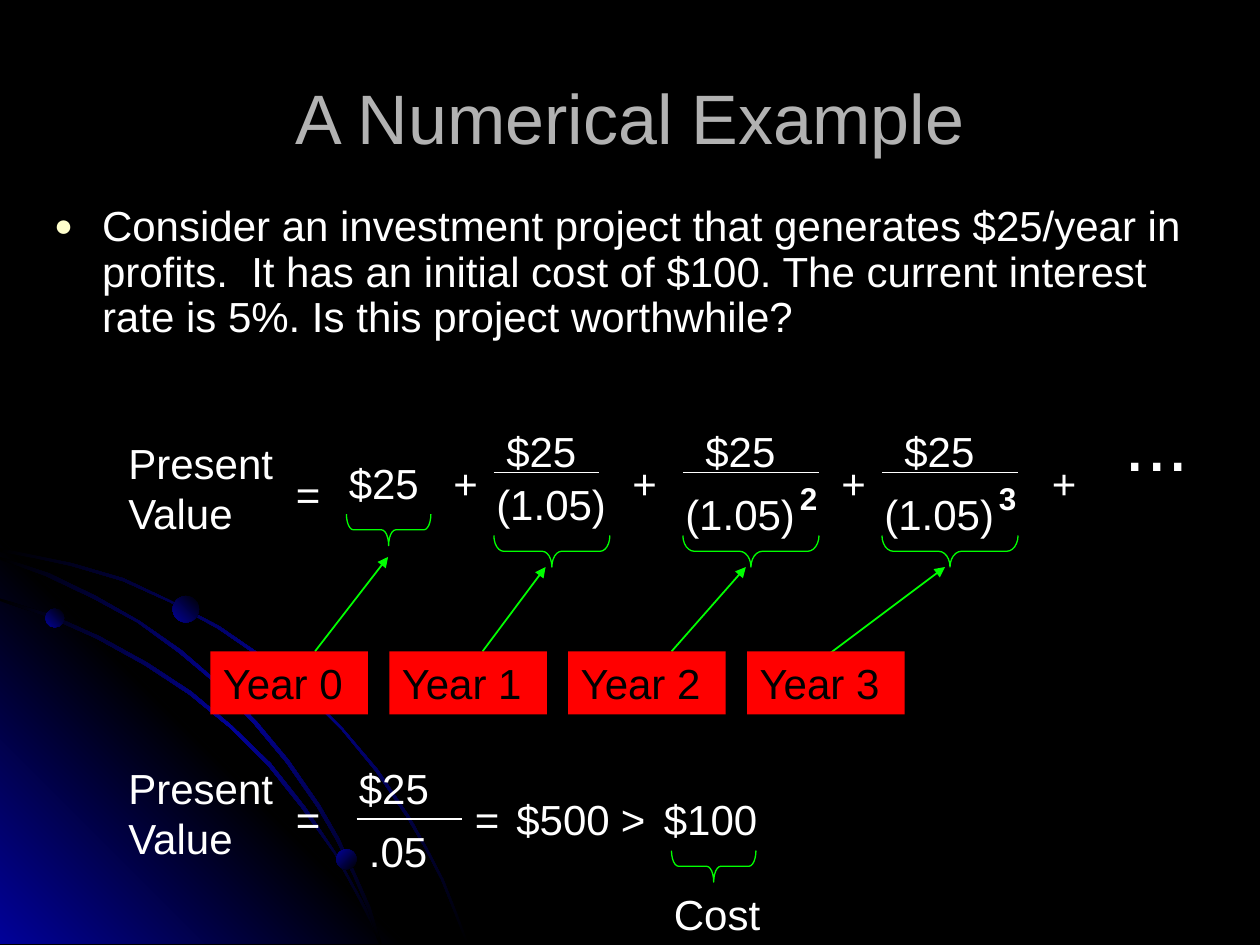
"""Build a slide that values a project by the present value of its profits."""
from lxml import etree
from pptx import Presentation
from pptx.dml.color import RGBColor
from pptx.enum.shapes import MSO_CONNECTOR, MSO_SHAPE
from pptx.enum.text import MSO_ANCHOR, MSO_AUTO_SIZE, PP_ALIGN
from pptx.oxml.ns import qn
from pptx.util import Inches, Pt

RECTANGLE, OVAL, BRACE = MSO_SHAPE.RECTANGLE, MSO_SHAPE.OVAL, MSO_SHAPE.LEFT_BRACE
STRAIGHT = MSO_CONNECTOR.STRAIGHT
TOP, MIDDLE = MSO_ANCHOR.TOP, MSO_ANCHOR.MIDDLE
LEFT, CENTER = PP_ALIGN.LEFT, PP_ALIGN.CENTER
NO_FIT = MSO_AUTO_SIZE.NONE

ARCS = [
    [(0.57, 4.47), (0.28, 4.41), (0, 4.35), (0, 4.38), (0.28, 4.43), (0.56, 4.49),
     (0.97, 4.61), (1.35, 4.78), (1.73, 4.99), (2.08, 5.23), (2.41, 5.49), (2.71, 5.79),
     (2.98, 6.12), (3.23, 6.49), (3.37, 6.73), (3.5, 6.98), (3.6, 7.23), (3.7, 7.49),
     (3.72, 7.49), (3.62, 7.23), (3.52, 6.98), (3.39, 6.73), (3.25, 6.48), (3, 6.11),
     (2.72, 5.78), (2.42, 5.48), (2.09, 5.21), (1.74, 4.97), (1.36, 4.77), (0.98, 4.59)],
    [(2.85, 7.14), (2.94, 7.32), (3.01, 7.49), (3.03, 7.49), (2.96, 7.3), (2.86, 7.12),
     (2.66, 6.76), (2.42, 6.4), (2.15, 6.06), (1.84, 5.76), (1.52, 5.49), (1.17, 5.26),
     (0.79, 5.05), (0.41, 4.88), (0, 4.75), (0, 4.77), (0.39, 4.9), (0.77, 5.07),
     (1.15, 5.28), (1.5, 5.51), (1.83, 5.78), (2.13, 6.08), (2.4, 6.42), (2.65, 6.77)],
    [(0, 4.42), (0, 4.44), (0.36, 4.57), (0.74, 4.75), (1.09, 4.94), (1.42, 5.18),
     (1.73, 5.44), (2.02, 5.75), (2.27, 6.05), (2.52, 6.41), (2.67, 6.67), (2.8, 6.94),
     (2.92, 7.22), (3.01, 7.49), (3.03, 7.49), (2.94, 7.2), (2.82, 6.93), (2.69, 6.65),
     (2.54, 6.39), (2.29, 6.03), (2.04, 5.73), (1.75, 5.43), (1.44, 5.16), (1.11, 4.93),
     (0.76, 4.73), (0.39, 4.55)],
]
CORNER = [(3.22, 7.49), (0, 7.49), (0, 4.27)]
DOTS = [(0.36, 4.83, 0.15, 135), (2.67, 6.74, 0.16, 225), (1.37, 4.73, 0.21, 135)]
YEAR_ARROWS = [((2.5, 5.17), (3.08, 4.42)), ((3.83, 5.17), (4.33, 4.5)),
               ((5.33, 5.17), (5.92, 4.5)), ((6.5, 5.25), (7.5, 4.5))]


def color(value):
    """Turn a hex string into a colour."""
    return RGBColor.from_string(value)


class SlideStyle:
    """Hold the style and the current slide."""

    font = "Arial"
    black, white, grey = "000000", "FFFFFF", "B2B2B2"
    blue, green, red, cream = "010199", "00FF00", "FF0000", "FFFFCC"

    def __init__(self, page):
        """Start on a page with a black background."""
        self.page = page
        self.shapes = page.shapes
        page.background.fill.solid()
        page.background.fill.fore_color.rgb = color(self.black)

    def place(self, box, left, top, width, height):
        """Move and size a box."""
        box.left, box.top = Inches(left), Inches(top)
        box.width, box.height = Inches(width), Inches(height)

    def fill_text(self, box, lines, size=24, ink=white, bold=False, align=LEFT, anchor=TOP):
        """Fill a box with one paragraph for each line."""
        frame = box.text_frame
        frame.word_wrap = True
        frame.auto_size = NO_FIT
        frame.vertical_anchor = anchor
        for index, line in enumerate(lines):
            para = frame.paragraphs[0] if index == 0 else frame.add_paragraph()
            para.alignment = align
            span = para.add_run()
            span.text = line
            span.font.name = self.font
            span.font.size = Pt(size)
            span.font.bold = bold
            span.font.color.rgb = color(ink)

    def title(self, text):
        """Set the title."""
        box = self.shapes.title
        self.place(box, 0.5, 0.62, 9, 0.61)
        self.fill_text(box, [text], 40, self.grey, align=CENTER, anchor=MIDDLE)

    def body(self, text):
        """Set the bulleted question."""
        box = self.page.placeholders[1]
        self.place(box, 0.33, 1.58, 9.17, 1.25)
        self.fill_text(box, [text])
        para = box.text_frame.paragraphs[0]
        para.line_spacing = 0.9
        para.space_before = Pt(6)
        properties = para._p.get_or_add_pPr()
        properties.set("marL", str(Inches(0.38)))
        properties.set("indent", str(Inches(-0.38)))
        tint = etree.SubElement(properties, qn("a:buClr"))
        etree.SubElement(tint, qn("a:srgbClr"), val=self.cream)
        etree.SubElement(properties, qn("a:buSzPct"), val="75000")
        etree.SubElement(properties, qn("a:buFont"), typeface=self.font)
        etree.SubElement(properties, qn("a:buChar"), char="●")

    def text(self, left, top, width, *lines, height=0.5, **style):
        """Add a text box."""
        box = self.shapes.add_textbox(
            Inches(left), Inches(top), Inches(width), Inches(height))
        self.fill_text(box, lines, **style)

    def line(self, start, end, ink=white, weight=0.75, arrow=False):
        """Add a straight line or an arrow."""
        points = [Inches(value) for value in (*start, *end)]
        link = self.shapes.add_connector(STRAIGHT, *points)
        link.line.color.rgb = color(ink)
        link.line.width = Pt(weight)
        if arrow:
            etree.SubElement(link.line._get_or_add_ln(), qn("a:tailEnd"), type="triangle")
        etree.SubElement(link._element.spPr, qn("a:effectLst"))

    def brace(self, left, top, span, depth=0.25):
        """Add a brace that points down under a span."""
        box = self.shapes.add_shape(BRACE, 0, 0, 0, 0)
        self.place(box, left + (span - depth) / 2, top + (depth - span) / 2, depth, span)
        box.rotation = 270
        box.adjustments[0] = span / depth / 12
        box.shadow.inherit = False
        box.fill.background()
        box.line.color.rgb = color(self.green)
        box.line.width = Pt(0.75)

    def label(self, left, top, text):
        """Add a red label."""
        box = self.shapes.add_shape(RECTANGLE, 0, 0, 0, 0)
        self.place(box, left, top, 1.25, 0.5)
        box.shadow.inherit = False
        box.fill.solid()
        box.fill.fore_color.rgb = color(self.red)
        box.line.fill.background()
        self.fill_text(box, [text], ink=self.black)

    def shade(self, box, angle, *inks):
        """Fill a box with evenly spaced gradient stops and no line."""
        box.shadow.inherit = False
        box.line.fill.background()
        box.fill.gradient()
        box.fill.gradient_angle = 360 - angle
        stops = box._element.spPr.find(".//" + qn("a:gsLst"))
        for stop in list(stops):
            stops.remove(stop)
        for index, ink in enumerate(inks):
            position = 100000 * index // (len(inks) - 1)
            stop = etree.SubElement(stops, qn("a:gs"), pos=str(position))
            etree.SubElement(stop, qn("a:srgbClr"), val=ink)

    def outline(self, points, angle, *inks):
        """Add a closed shaded outline."""
        corners = [(Inches(x), Inches(y)) for x, y in points]
        builder = self.shapes.build_freeform(*corners[0])
        builder.add_line_segments(corners[1:], close=True)
        self.shade(builder.convert_to_shape(), angle, *inks)

    def dot(self, left, top, size, angle):
        """Add a shaded dot."""
        box = self.shapes.add_shape(OVAL, 0, 0, 0, 0)
        self.place(box, left, top, size, size)
        self.shade(box, angle, self.black, self.blue)

    def backdrop(self):
        """Draw the blue corner with its arcs and dots."""
        self.outline(CORNER, 135, self.blue, self.black, self.blue)
        for arc in ARCS:
            self.outline(arc, 225, self.black, self.blue, self.black)
        for dot in DOTS:
            self.dot(*dot)

    def present_value(self, top):
        """Add the left side of an equation."""
        self.text(0.92, top, 1.42, "Present", "Value", height=0.9)
        self.text(2.25, top + 0.25, 0.42, "=")

    def discounted(self, year):
        """Add the profit of a later year as a fraction."""
        left = 3.92 + 1.58 * (year - 1)
        first = year == 1
        start = left if first else left - 0.08
        self.text(left, 3.33, 0.83, "$25")
        self.line((start, 3.75), (start + (0.83 if first else 1.08), 3.75))
        self.text(start - 0.08, 3.75 if first else 3.83, 1.08, "(1.05)")
        self.brace(start, 4.25, 0.92 if first else 1.08)
        if not first:
            self.text(left + 0.75, 3.75, 0.33, str(year), height=0.4, size=18, bold=True)


def main():
    """Build and save the slide."""
    deck = Presentation()
    deck.slide_width, deck.slide_height = Inches(10), Inches(7.5)
    style = SlideStyle(deck.slides.add_slide(deck.slide_layouts[1]))
    style.backdrop()
    style.title("A Numerical Example")
    style.body("Consider an investment project that generates $25/year in profits.  "
               "It has an initial cost of $100. The current interest rate is 5%. "
               "Is this project worthwhile?")

    style.present_value(3.42)
    style.text(2.67, 3.58, 0.83, "$25")
    style.brace(2.75, 4.08, 0.67)
    for year in (1, 2, 3):
        style.discounted(year)
    for left in (3.5, 4.92, 6.58, 8.25):
        style.text(left, 3.58, 0.33, "+")
    style.text(8.83, 3.08, 0.75, "...", height=0.84, size=44)
    for year, (start, end) in enumerate(YEAR_ARROWS):
        style.line(start, end, style.green, 1, arrow=True)
        style.label(1.67 + 1.42 * year, 5.17, f"Year {year}")

    style.present_value(6)
    style.text(2.75, 6, 0.83, "$25")
    style.line((2.83, 6.5), (3.67, 6.5))
    style.text(2.83, 6.5, 0.67, ".05")
    for left, width, term in ((3.67, 0.42, "="), (4, 1.42, "$500"),
                              (4.83, 0.42, ">"), (5.17, 1.08, "$100")):
        style.text(left, 6.25, width, term)
    style.brace(5.33, 6.75, 0.67)
    style.text(5.25, 7, 1.25, "Cost")
    deck.save("out.pptx")


if __name__ == "__main__":
    main()
